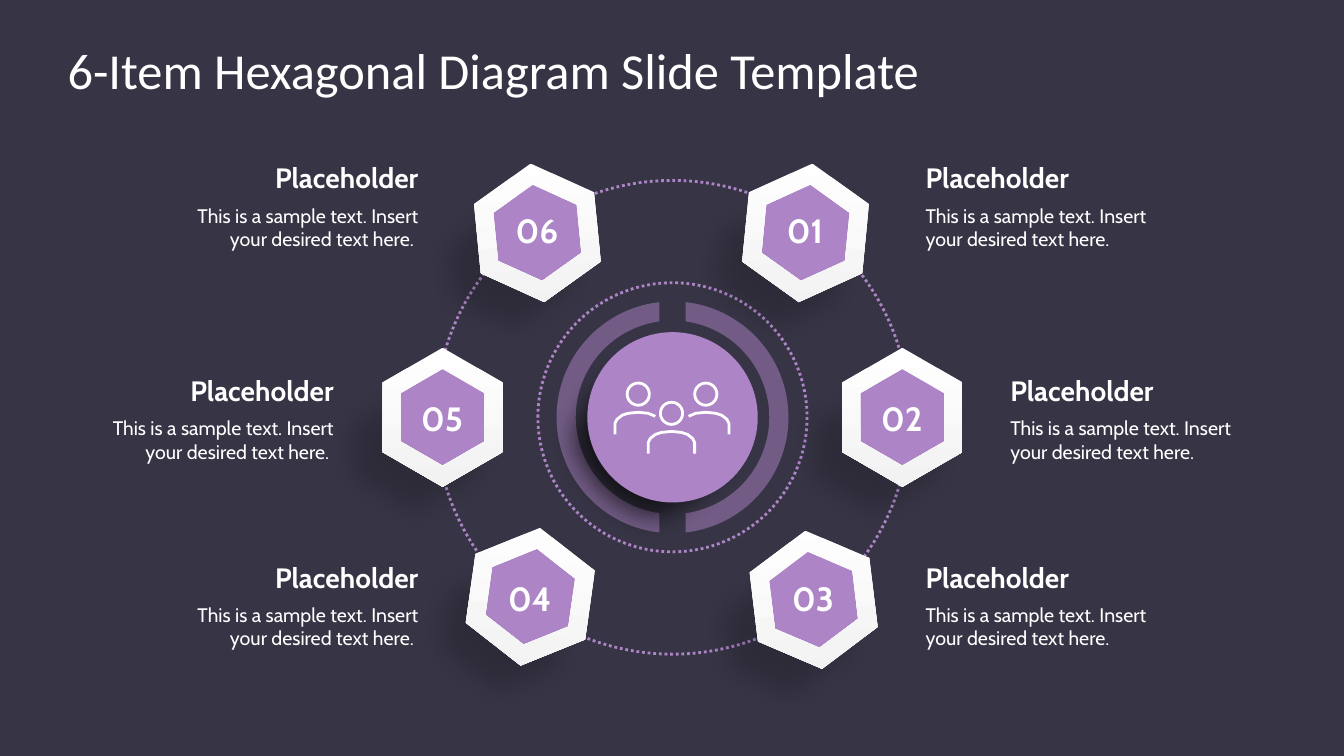
import dataclasses
import math

import lxml.etree
import pptx
import pptx.dml.color
import pptx.enum.dml
import pptx.enum.shapes
import pptx.enum.text
import pptx.oxml.ns
import pptx.util

Inches = pptx.util.Inches
Align = pptx.enum.text.PP_ALIGN
Anchor = pptx.enum.text.MSO_ANCHOR
Kind = pptx.enum.shapes.MSO_SHAPE
qn = pptx.oxml.ns.qn
Points = list[tuple[float, float]]

COLORS = {"back": "373545", "main": "AD84C6", "white": "FFFFFF",
          "pale": "F2F2F2", "shade": "000000"}
MID_X, MID_Y = 6.67, 4.14
SAMPLE = "This is a sample text. Insert your desired text here."


@dataclasses.dataclass
class Item:
    label: str
    x: float
    y: float
    turn: float
    label_y: float
    text_x: float
    text_y: float
    align: Align


ITEMS = [
    Item("01", 7.99, 2.31, 5.6, 2.03, 9.18, 1.55, Align.LEFT),
    Item("02", 8.95, 4.14, 0, 3.9, 10.02, 3.66, Align.LEFT),
    Item("03", 8.07, 5.95, -6.9, 5.68, 9.18, 5.51, Align.LEFT),
    Item("04", 5.26, 5.92, 8, 5.68, 1.83, 5.51, Align.RIGHT),
    Item("05", 4.39, 4.14, 0, 3.9, 0.99, 3.66, Align.RIGHT),
    Item("06", 5.33, 2.31, -5.6, 2.03, 1.83, 1.55, Align.RIGHT),
]


@dataclasses.dataclass
class Person:
    x: float
    head_y: float
    body_y: float
    side: int  # -1 or 1 where the inner shoulder is cut short, 0 if whole


PEOPLE = [Person(6.33, 3.91, 4.09, -1), Person(7.0, 3.91, 4.09, 1),
          Person(6.66, 4.1, 4.28, 0)]


def tint(name: str) -> pptx.dml.color.RGBColor:
    return pptx.dml.color.RGBColor.from_string(COLORS[name])


def paint(shape, fill: str | None = None, line: str | None = None,
          width: float = 2, alpha: int = 100, blur: float = 0) -> None:
    """Set fill, line, opacity in percent and soft edge in inches."""
    shape.shadow.inherit = False
    props = shape._element.spPr
    if fill:
        shape.fill.solid()
        shape.fill.fore_color.rgb = tint(fill)
        if alpha < 100:
            color = props.find(qn("a:solidFill")).find(qn("a:srgbClr"))
            lxml.etree.SubElement(color, qn("a:alpha"), val=str(alpha * 1000))
    else:
        shape.fill.background()
    if line:
        shape.line.color.rgb = tint(line)
        shape.line.width = pptx.util.Pt(width)
    else:
        shape.line.fill.background()
    if blur:
        lxml.etree.SubElement(props.find(qn("a:effectLst")), qn("a:softEdge"),
                              rad=str(Inches(blur)))


def disc(slide, x: float, y: float, size: float, **style):
    shape = slide.shapes.add_shape(
        Kind.OVAL, Inches(x - size / 2), Inches(y - size / 2),
        Inches(size), Inches(size))
    paint(shape, **style)
    return shape


def trace(slide, *paths: Points, close: bool = True):
    """Draw one outline made of one or more paths."""
    sets = [[(Inches(x), Inches(y)) for x, y in path] for path in paths]
    pen = slide.shapes.build_freeform(*sets[0][0], scale=1.0)
    for index, path in enumerate(sets):
        if index:
            pen.move_to(*path[0])
        pen.add_line_segments(path[1:], close=close)
    return pen.convert_to_shape()


def arc(x: float, y: float, radius: float, start: float, end: float,
        steps: int = 60) -> Points:
    angles = [start + (end - start) * i / steps for i in range(steps + 1)]
    return [(x + radius * math.cos(a), y + radius * math.sin(a))
            for a in angles]


def hexa(x: float, y: float, radius: float) -> Points:
    return arc(x, y, radius, -math.pi / 2, 3 * math.pi / 2, 6)[:-1]


def write(slide, text: str, x: float, y: float, wide: float, high: float,
          size: float = 14, bold: bool = False, font: str = "Cabin",
          align: Align = Align.LEFT, anchor: Anchor = Anchor.TOP,
          inset: float = 0, shape=None) -> None:
    """Put formatted text in a new box, or in the given shape."""
    shape = shape or slide.shapes.add_textbox(0, 0, 0, 0)
    shape.left, shape.top = Inches(x), Inches(y)
    shape.width, shape.height = Inches(wide), Inches(high)
    frame = shape.text_frame
    frame.word_wrap = True
    frame.auto_size = pptx.enum.text.MSO_AUTO_SIZE.NONE
    frame.vertical_anchor = anchor
    frame.margin_left = frame.margin_right = 0
    frame.margin_top = frame.margin_bottom = Inches(inset)
    para = frame.paragraphs[0]
    para.alignment = align
    run = para.add_run()
    run.text = text
    run.font.name, run.font.size = font, pptx.util.Pt(size)
    run.font.bold = bold
    run.font.color.rgb = tint("white")


def halo(slide) -> None:
    """Dotted circles and the two half rings."""
    disc(slide, MID_X, MID_Y, 4.7, line="main")
    for side in (math.pi, 0):
        far, near = (math.acos(0.13 / r) for r in (1.15, 0.96))
        outer = arc(MID_X, MID_Y, 1.15, side - far, side + far)
        inner = arc(MID_X, MID_Y, 0.96, side + near, side - near)
        paint(trace(slide, outer + inner), fill="main", alpha=50)
    disc(slide, MID_X, MID_Y, 2.67, line="main")
    for shape in slide.shapes:
        if shape.name.startswith("Oval"):
            shape.line.dash_style = pptx.enum.dml.MSO_LINE.ROUND_DOT


def badge(slide, item: Item) -> None:
    """Purple hexagon in a white frame."""
    core = trace(slide, hexa(item.x, item.y, 0.59))
    paint(core, fill="main")
    rim = trace(slide, hexa(item.x, item.y, 0.69),
                hexa(item.x, item.y, 0.48)[::-1])
    paint(rim)
    rim.fill.gradient()
    rim.fill.gradient_angle = 270
    for stop, name in zip(rim.fill.gradient_stops, ("white", "pale")):
        stop.color.rgb = tint(name)
    core.rotation = rim.rotation = item.turn


def label(slide, item: Item) -> None:
    """Number, heading and body text of an item."""
    write(slide, item.label, item.x - 0.29, item.label_y, 0.57, 0.5, size=24,
          bold=True, align=Align.CENTER, anchor=Anchor.MIDDLE)
    write(slide, "Placeholder", item.text_x, item.text_y, 2.32, 0.38, size=20,
          bold=True, align=item.align, anchor=Anchor.BOTTOM)
    tail = " " if item.align == Align.RIGHT else ""
    write(slide, SAMPLE + tail, item.text_x, item.text_y + 0.47, 2.32, 0.53,
          align=item.align)


def figure(slide, one: Person) -> None:
    """Head and shoulders in white line."""
    disc(slide, one.x, one.head_y, 0.22, line="white")
    half = [(0.23, 0.22), (0.23, 0.11), (0.21, 0.07), (0.16, 0.03),
            (0.1, 0.01), (0, 0)]
    rest = [(-x, y) for x, y in half[-2::-1]]
    if one.side:
        rest = [(-0.1, 0.01), (-0.17, 0.04)]
    path = [(one.x + (one.side or 1) * x, one.body_y + y)
            for x, y in half + rest]
    paint(trace(slide, path, close=False), line="white")


def main() -> None:
    deck = pptx.Presentation()
    deck.slide_width, deck.slide_height = Inches(13.33), Inches(7.5)
    slide = deck.slides.add_slide(deck.slide_layouts[5])
    slide.background.fill.solid()
    slide.background.fill.fore_color.rgb = tint("back")
    write(slide, "6-Item Hexagonal Diagram Slide Template", 0.67, 0.3, 12,
          0.78, size=36, font="Calibri", anchor=Anchor.MIDDLE, inset=0.07,
          shape=slide.shapes.title)

    # Rings and soft shadows
    halo(slide)
    disc(slide, 6.46, 4.36, 2.1, fill="shade", alpha=61, blur=0.25)
    for item in ITEMS:
        shade = trace(slide, hexa(item.x - 0.27, item.y + 0.33, 0.99))
        paint(shade, fill="shade", alpha=18, blur=0.25)
        shade.rotation = item.turn

    # Hub, badges and texts
    disc(slide, MID_X, MID_Y, 1.69, fill="main")
    for item in ITEMS:
        badge(slide, item)
        label(slide, item)

    # People icon
    for one in PEOPLE:
        figure(slide, one)
    deck.save("out.pptx")


if __name__ == "__main__":
    main()
